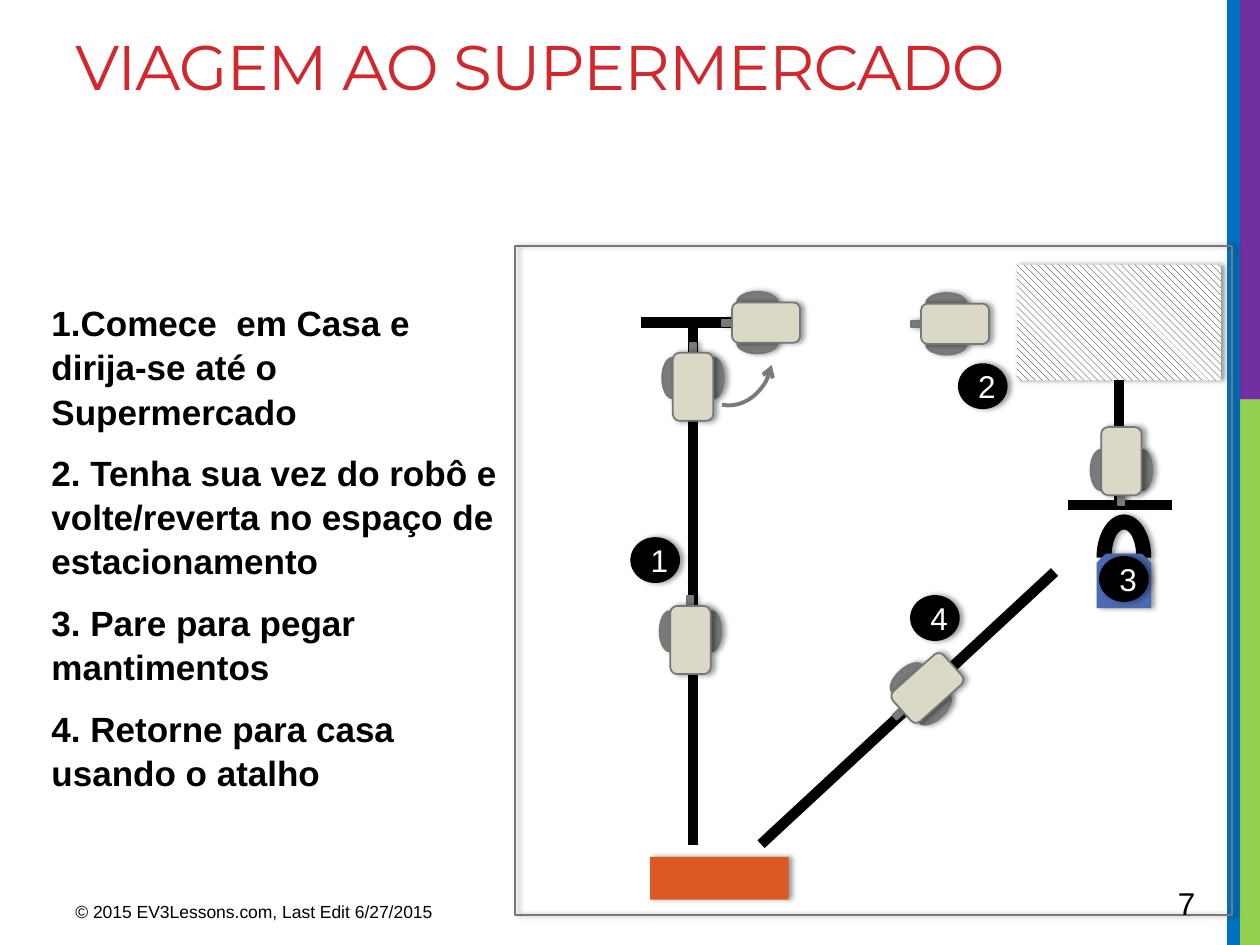
import math

from lxml import etree
from pptx import Presentation
from pptx.dml.color import RGBColor
from pptx.enum.dml import MSO_PATTERN
from pptx.enum.shapes import MSO_CONNECTOR, MSO_SHAPE
from pptx.enum.text import MSO_ANCHOR, PP_ALIGN
from pptx.oxml.ns import qn
from pptx.util import Inches, Pt

RECT, OVAL = MSO_SHAPE.RECTANGLE, MSO_SHAPE.OVAL
ROUND_RECT = MSO_SHAPE.ROUNDED_RECTANGLE
HATCH = MSO_PATTERN.WIDE_DOWNWARD_DIAGONAL
STRAIGHT = MSO_CONNECTOR.STRAIGHT
LEFT, CENTER = PP_ALIGN.LEFT, PP_ALIGN.CENTER
TOP, MIDDLE = MSO_ANCHOR.TOP, MSO_ANCHOR.MIDDLE

BLACK = RGBColor(0x00, 0x00, 0x00)
WHITE = RGBColor(0xFF, 0xFF, 0xFF)
RED = RGBColor(0xD1, 0x28, 0x2E)
GREEN = RGBColor(0x92, 0xD0, 0x50)
PURPLE = RGBColor(0x70, 0x30, 0xA0)
BLUE = RGBColor(0x00, 0x70, 0xC0)
ORANGE = RGBColor(0xDC, 0x59, 0x24)
BAG_FILL = RGBColor(0x4D, 0x6B, 0xB5)
BAG_LINE = RGBColor(0x4E, 0x6A, 0xAE)
GRAY = RGBColor(0x7A, 0x7A, 0x7A)
OUTLINE = RGBColor(0x77, 0x77, 0x77)
BODY = RGBColor(0xDA, 0xD9, 0xC8)

STEPS = [
    "1.Comece  em Casa e dirija-se até o Supermercado",
    "2. Tenha sua vez do robô e volte/reverta no espaço de estacionamento",
    "3. Pare para pegar mantimentos",
    "4. Retorne para casa usando o atalho",
]
# Positions on the map, relative to its top left corner
ROADS = [
    (1.41, 4.76, 1.41, 0.61),
    (1.95, 4.75, 4.28, 2.59),
    (5.21, 2.06, 4.39, 2.06),
    (1.81, 0.61, 1.00, 0.61),
]
ROBOTS = [  # centre x, centre y, heading
    (1.39, 3.13, 0), (3.49, 0.62, 270), (4.81, 1.71, 180),
    (3.27, 3.51, 228.2), (1.99, 0.61, 270), (1.41, 1.12, 0),
]
BADGES = [("1", 0.92, 2.32), ("2", 3.52, 0.94), ("3", 4.64, 2.47), ("4", 3.14, 2.78)]
ROBOT_PARTS = [  # kind, offset x, offset y, width, height, fill
    (OVAL, -0.165, -0.07, 0.16, 0.32, GRAY),
    (OVAL, 0.165, -0.07, 0.16, 0.32, GRAY),
    (RECT, 0, -0.28, 0.05, 0.14, GRAY),
    (ROUND_RECT, 0, 0, 0.32, 0.54, BODY),
]


def add_soft_shadow(s):
    effects = s._element.spPr.find(qn("a:effectLst"))
    shadow = etree.SubElement(effects, qn("a:outerShdw"), blurRad=str(Pt(3.1)),
                              dist=str(Pt(1.8)), dir="0", rotWithShape="0")
    color = etree.SubElement(shadow, qn("a:srgbClr"), val="000000")
    etree.SubElement(color, qn("a:alpha"), val="40000")


def add_shape(shapes, kind, x, y, w, h, fill=None, line=None, width=1,
              shadow=True, rotation=0):
    s = shapes.add_shape(kind, Inches(x), Inches(y), Inches(w), Inches(h))
    s.rotation = rotation
    if fill is None:
        s.fill.background()
    else:
        s.fill.solid()
        s.fill.fore_color.rgb = fill
    if line is None:
        s.line.fill.background()
    else:
        s.line.color.rgb = line
        s.line.width = Pt(width)
    s.shadow.inherit = False
    if shadow:
        add_soft_shadow(s)
    return s


def write_text(tf, paragraphs, size, color=BLACK, font="Arial", bold=False,
               align=LEFT, anchor=TOP, spacing=None, before=0, after=0, tracking=None):
    tf.word_wrap = True
    tf.vertical_anchor = anchor
    for i, text in enumerate(paragraphs):
        p = tf.paragraphs[0] if i == 0 else tf.add_paragraph()
        p.alignment = align
        p.line_spacing = spacing
        p.space_before = Pt(before if i else 0)
        p.space_after = Pt(after)
        r = p.add_run()
        r.text = text
        r.font.name, r.font.size, r.font.bold = font, Pt(size), bold
        r.font.color.rgb = color
        if tracking:
            r._r.get_or_add_rPr().set("spc", str(tracking))


def add_text(slide, x, y, w, h, paragraphs, size, **text_format):
    s = slide.shapes.add_textbox(Inches(x), Inches(y), Inches(w), Inches(h))
    write_text(s.text_frame, paragraphs, size, **text_format)


def add_road(slide, x1, y1, x2, y2):
    s = slide.shapes.add_connector(STRAIGHT, Inches(x1), Inches(y1), Inches(x2), Inches(y2))
    s.line.color.rgb = BLACK
    s.line.width = Pt(6)
    etree.SubElement(s._element.spPr, qn("a:effectLst"))
    return s


def add_robot(slide, cx, cy, heading):
    """Turn every part around the centre of the robot's body."""
    shapes = slide.shapes.add_group_shape().shapes
    cos, sin = math.cos(math.radians(heading)), math.sin(math.radians(heading))
    for kind, dx, dy, w, h, fill in ROBOT_PARTS:
        x = cx + dx * cos - dy * sin
        y = cy + dx * sin + dy * cos
        add_shape(shapes, kind, x - w / 2, y - h / 2, w, h, fill, OUTLINE, rotation=heading)


def add_basket(slide, x, y):
    shapes = slide.shapes.add_group_shape().shapes
    add_shape(shapes, MSO_SHAPE.BLOCK_ARC, x, y, 0.42, 0.66, BLACK, BLACK)
    add_shape(shapes, MSO_SHAPE.SNIP_2_SAME_RECTANGLE, x, y + 0.31, 0.42, 0.42,
              BAG_FILL, BAG_LINE)


def add_badge(slide, number, x, y):
    s = add_shape(slide.shapes, OVAL, x, y, 0.38, 0.35, BLACK, BLACK)
    write_text(s.text_frame, [number], 18, color=WHITE, align=CENTER, anchor=MIDDLE)


def add_turn_arrow(slide, x, y):
    s = add_shape(slide.shapes, MSO_SHAPE.ARC, x, y, 0.77, 0.65, line=GRAY,
                  width=2.25, shadow=False, rotation=101.1)
    etree.SubElement(s.line._get_or_add_ln(), qn("a:headEnd"), type="arrow")


def draw_side_stripes(slide):
    for x, y, w, h, color in [(9.84, 3.17, 0.16, 4.33, GREEN),
                              (9.8, 0, 0.2, 3.17, PURPLE),
                              (9.74, 0, 0.1, 7.5, BLUE)]:
        add_shape(slide.shapes, RECT, x, y, w, h, color, shadow=False)


def draw_map(slide, x, y, w, h):
    parking = add_shape(slide.shapes, RECT, x + 3.98, y + 0.15, 1.62, 0.92)
    parking.fill.patterned()
    parking.fill.pattern = HATCH
    parking.fill.fore_color.rgb = BLACK
    parking.fill.back_color.rgb = WHITE
    add_shape(slide.shapes, RECT, x + 1.07, y + 4.85, 1.1, 0.34, ORANGE)
    add_basket(slide, x + 4.62, y + 2.14)
    for x1, y1, x2, y2 in ROADS:
        add_road(slide, x + x1, y + y1, x + x2, y + y2)
    exit_road = add_road(slide, x + 4.79, y + 1.07, x + 4.79, y + 2.06)
    exit_road.begin_connect(parking, 2)
    for cx, cy, heading in ROBOTS:
        add_robot(slide, x + cx, y + cy, heading)
    for number, bx, by in BADGES:
        add_badge(slide, number, x + bx, y + by)
    add_turn_arrow(slide, x + 1.33, y + 0.56)


def main():
    prs = Presentation()
    prs.slide_width, prs.slide_height = Inches(10), Inches(7.5)
    slide = prs.slides.add_slide(prs.slide_layouts[6])
    map_box = (4.09, 1.95, 5.69, 5.31)
    draw_side_stripes(slide)
    add_shape(slide.shapes, RECT, *map_box, line=OUTLINE)
    add_text(slide, 0.5, 0.17, 9.02, 1.5, ["VIAGEM AO SUPERMERCADO"], 36,
             color=RED, font="Montserrat", tracking=-60)
    add_text(slide, 0.31, 2.33, 3.78, 4.37, STEPS, 20, bold=True,
             spacing=1.05, before=4, after=6)
    add_text(slide, 0.5, 7.1, 3.75, 0.31, ["© 2015 EV3Lessons.com, Last Edit 6/27/2015"], 10)
    add_text(slide, 9.25, 6.97, 0.69, 0.4, ["7"], 18)
    draw_map(slide, *map_box)
    prs.save("out.pptx")


if __name__ == "__main__":
    main()
